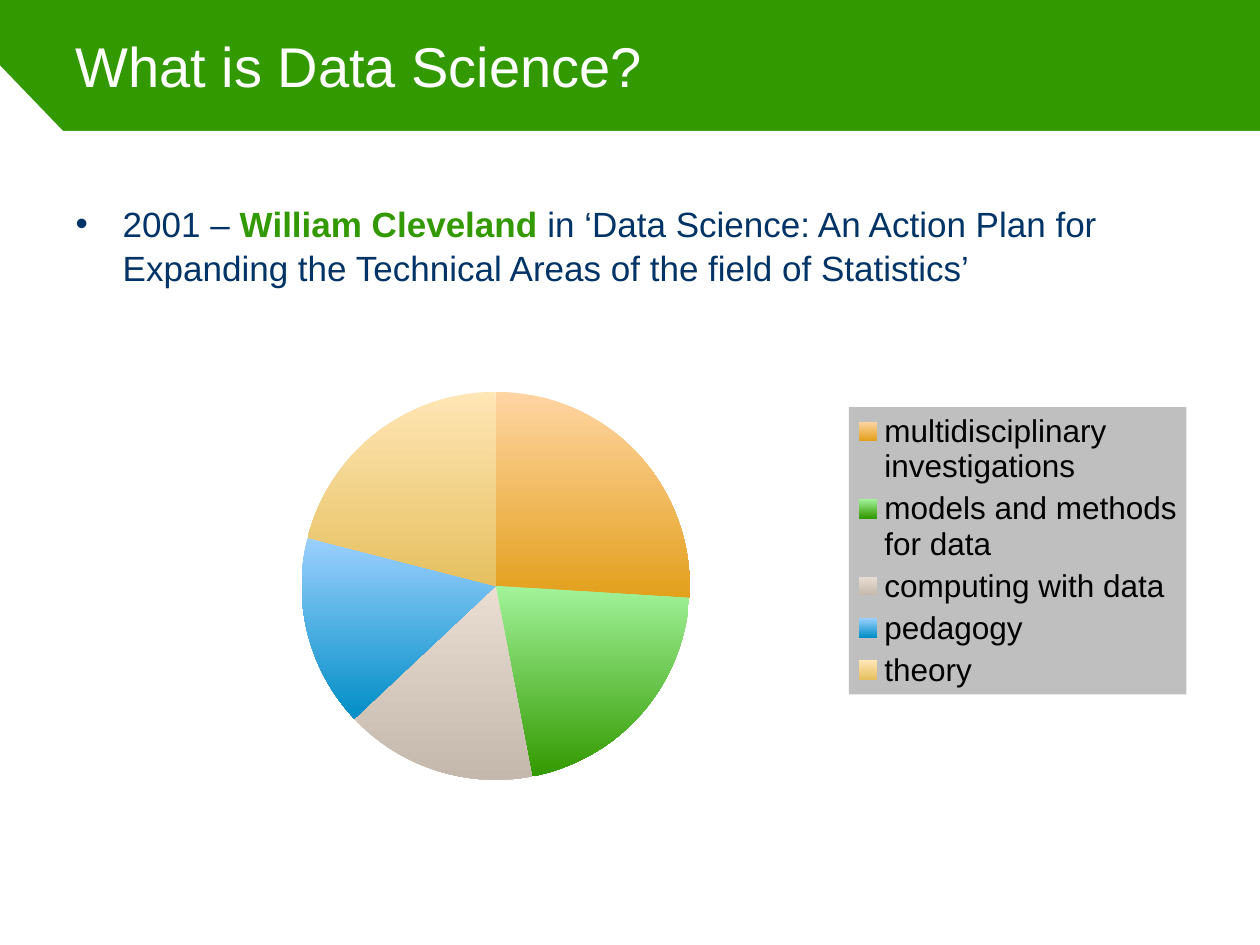
import pptx
import pptx.chart.data
import pptx.dml.color
import pptx.enum.chart
import pptx.enum.text
import pptx.oxml
import pptx.oxml.ns
import pptx.util

Cm = pptx.util.Cm
Pt = pptx.util.Pt
RGBColor = pptx.dml.color.RGBColor
qn = pptx.oxml.ns.qn

GREEN = RGBColor(0x33, 0x99, 0x00)
NAVY = RGBColor(0x00, 0x33, 0x66)
WHITE = RGBColor(0xFF, 0xFF, 0xFF)
BLACK = RGBColor(0x00, 0x00, 0x00)
GRAY = RGBColor(0xBF, 0xBF, 0xBF)
FONT = "Arial"

TITLE = "What is Data Science?"
BODY_RUNS = [
    ("2001 – ", {"color": NAVY, "bold": False}),
    ("William Cleveland ", {"color": GREEN, "bold": True}),
    ("in ‘Data Science: An Action Plan for Expanding the Technical Areas "
     "of the field of Statistics’", {"color": NAVY, "bold": False}),
]
# category, share, top colour, bottom colour
SLICES = [
    ("multidisciplinary investigations", 26,
     RGBColor(0xFF, 0xD5, 0xA3), RGBColor(0xE3, 0xA0, 0x1C)),
    ("models and methods for data", 21, RGBColor(0xA2, 0xF3, 0x9A), GREEN),
    ("computing with data", 16,
     RGBColor(0xEA, 0xDE, 0xD2), RGBColor(0xC3, 0xB8, 0xAB)),
    ("pedagogy", 16,
     RGBColor(0x9C, 0xD0, 0xFF), RGBColor(0x00, 0x8E, 0xC6)),
    ("theory", 21,
     RGBColor(0xFF, 0xE6, 0xB5), RGBColor(0xE6, 0xC0, 0x60)),
]

SLIDE_WIDTH, SLIDE_HEIGHT = Cm(25.4), Cm(19.05)
BAND_HEIGHT = Cm(2.64)
MARGIN = Cm(1.27)
PAGE_OUTLINE = [
    (MARGIN, BAND_HEIGHT), (0, BAND_HEIGHT // 2), (0, SLIDE_HEIGHT),
    (SLIDE_WIDTH, SLIDE_HEIGHT), (SLIDE_WIDTH, BAND_HEIGHT),
]
TITLE_BOX = {"left": MARGIN, "top": 0,
             "width": SLIDE_WIDTH - 2 * MARGIN, "height": BAND_HEIGHT}
BODY_BOX = {**TITLE_BOX, "top": Cm(3.91), "height": Cm(13)}
CHART_BOX = (Cm(2.87), Cm(5.97), Cm(21.26), Cm(10.16))
# fractions of the chart area
PIE_LAYOUT = {"x": 0.15, "y": 0.19, "w": 0.37, "h": 0.77}
LEGEND_LAYOUT = {"x": 0.67, "y": 0.22, "w": 0.32, "h": 0.57}


def set_attributes(target, values):
    for name, value in values.items():
        setattr(target, name, value)


def format_font(font, size, color, bold=False):
    set_attributes(font, {"name": FONT, "size": Pt(size), "bold": bold})
    font.color.rgb = color


def manual_layout(fractions, inner=False):
    """Return a c:layout element that fixes a chart part's place."""
    target = '<c:layoutTarget val="inner"/>' if inner else ""
    modes = '<c:xMode val="edge"/><c:yMode val="edge"/>'
    sizes = "".join(f'<c:{key} val="{value}"/>' for key, value in fractions.items())
    return pptx.oxml.parse_xml(
        f'<c:layout {pptx.oxml.ns.nsdecls("c")}><c:manualLayout>'
        f"{target}{modes}{sizes}</c:manualLayout></c:layout>")


def remove_layout(element):
    for layout in element.findall(qn("c:layout")):
        element.remove(layout)


def add_page(slide):
    slide.background.fill.solid()
    slide.background.fill.fore_color.rgb = GREEN
    builder = slide.shapes.build_freeform(*PAGE_OUTLINE[0])
    builder.add_line_segments(PAGE_OUTLINE[1:], close=True)
    page = builder.convert_to_shape()
    page.shadow.inherit = False
    page.fill.solid()
    page.fill.fore_color.rgb = WHITE
    page.line.fill.background()
    slide.shapes.title.element.addprevious(page.element)


def fill_title(title):
    set_attributes(title, TITLE_BOX)
    frame = title.text_frame
    frame.text = TITLE
    set_attributes(frame, {"vertical_anchor": pptx.enum.text.MSO_ANCHOR.MIDDLE,
                           "auto_size": pptx.enum.text.MSO_AUTO_SIZE.NONE})
    paragraph = frame.paragraphs[0]
    paragraph.alignment = pptx.enum.text.PP_ALIGN.LEFT
    format_font(paragraph.runs[0].font, 32, WHITE)


def fill_body(body):
    set_attributes(body, BODY_BOX)
    body.text_frame.auto_size = pptx.enum.text.MSO_AUTO_SIZE.NONE
    paragraph = body.text_frame.paragraphs[0]
    properties = paragraph._p.get_or_add_pPr()
    properties.set("marL", str(Cm(0.95)))
    properties.set("indent", str(-Cm(0.95)))
    properties.append(pptx.oxml.parse_xml(
        f'<a:buChar {pptx.oxml.ns.nsdecls("a")} char="•"/>'))
    set_attributes(paragraph, {"space_before": Pt(0), "space_after": Pt(6),
                               "line_spacing": 1.05})
    for text, style in BODY_RUNS:
        run = paragraph.add_run()
        run.text = text
        format_font(run.font, 20, **style)


def add_pie(slide):
    data = pptx.chart.data.CategoryChartData()
    data.categories = [name for name, *_ in SLICES]
    data.add_series("Share", [share for _, share, *_ in SLICES])
    chart = slide.shapes.add_chart(
        pptx.enum.chart.XL_CHART_TYPE.PIE, *CHART_BOX, data).chart
    set_attributes(chart, {"has_title": False, "has_legend": True})
    format_font(chart.font, 18, BLACK)

    plot = chart.plots[0]
    plot.vary_by_categories = True
    for index, (_, _, top_color, bottom_color) in enumerate(SLICES):
        slice_format = plot.series[0].points[index].format
        slice_format.line.fill.background()
        fill = slice_format.fill
        fill.gradient()
        fill.gradient_angle = 270
        for stop, color in zip(fill.gradient_stops, (top_color, bottom_color)):
            stop.color.rgb = color

    plot_area = chart.element.find(".//" + qn("c:plotArea"))
    remove_layout(plot_area)
    plot_area.insert(0, manual_layout(PIE_LAYOUT, inner=True))

    legend = chart.legend
    set_attributes(legend, {"position": pptx.enum.chart.XL_LEGEND_POSITION.RIGHT,
                            "include_in_layout": False})
    format_font(legend.font, 18, BLACK)
    legend_element = chart.element.find(".//" + qn("c:legend"))
    remove_layout(legend_element)
    overlay = legend_element.find(qn("c:overlay"))
    overlay.addprevious(manual_layout(LEGEND_LAYOUT))
    overlay.addnext(pptx.oxml.parse_xml(
        f'<c:spPr {pptx.oxml.ns.nsdecls("c", "a")}><a:solidFill>'
        f'<a:srgbClr val="{GRAY}"/></a:solidFill></c:spPr>'))


def main():
    presentation = pptx.Presentation()
    set_attributes(presentation, {"slide_width": SLIDE_WIDTH,
                                  "slide_height": SLIDE_HEIGHT})
    slide = presentation.slides.add_slide(presentation.slide_layouts[1])
    add_page(slide)
    fill_title(slide.shapes.title)
    fill_body(slide.placeholders[1])
    add_pie(slide)
    presentation.save("out.pptx")


if __name__ == "__main__":
    main()
